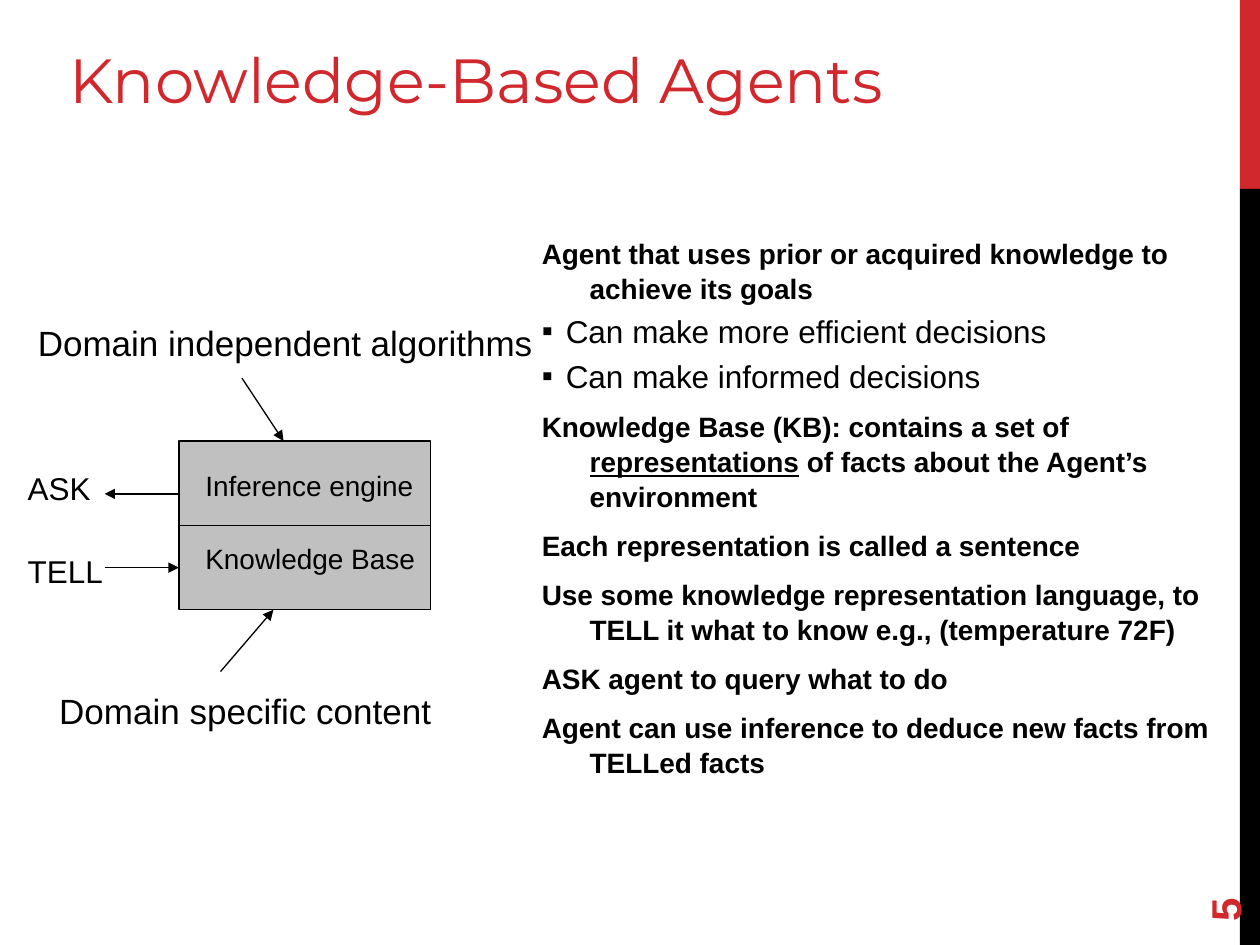
from lxml.etree import SubElement
from pptx import Presentation
from pptx.dml.color import RGBColor
from pptx.enum.shapes import MSO_CONNECTOR, MSO_SHAPE
from pptx.enum.text import MSO_ANCHOR
from pptx.oxml.ns import qn
from pptx.util import Inches, Pt

RED, BLACK, GRAY = "D1282E", "000000", "C0C0C0"

TITLE = "Knowledge-Based Agents"
PAGE_NUMBER = "5"

# (level, runs); a run is (text, underlined)
POINTS = [
    (0, [("Agent that uses prior or acquired knowledge to achieve its goals", False)]),
    (1, [("Can make more efficient decisions", False)]),
    (1, [("Can make informed decisions", False)]),
    (0, [("Knowledge Base (KB): contains a set of ", False),
         ("representations", True),
         (" of facts about the Agent’s environment", False)]),
    (0, [("Each representation is called a sentence", False)]),
    (0, [("Use some knowledge representation language, to TELL it what to know "
          "e.g., (temperature 72F)", False)]),
    (0, [("ASK agent to query what to do", False)]),
    (0, [("Agent can use inference to deduce new facts from TELLed facts", False)]),
]
LEVELS = [
    dict(size=16, bold=True, indent=0.38, before=8, bullet=None),
    dict(size=18, bold=False, indent=0.19, before=3, bullet="▪"),
]

# (text, left, top, width, height, size)
LABELS = [
    ("Knowledge Base", 1.58, 4.25, 1.78, 0.34, 16),
    ("Inference engine", 1.58, 3.67, 1.77, 0.34, 16),
    ("Domain independent algorithms", 0.25, 2.5, 4.04, 0.41, 20),
    ("Domain specific content", 0.42, 5.42, 3.06, 0.41, 20),
    ("TELL", 0.17, 4.33, 0.71, 0.38, 18),
    ("ASK", 0.17, 3.67, 0.61, 0.38, 18),
]

AGENT_LEFT, AGENT_TOP, AGENT_WIDTH, PART_HEIGHT = 1.42, 3.5, 2, 0.67
BASE_TOP = AGENT_TOP + PART_HEIGHT
BASE_BOTTOM = BASE_TOP + PART_HEIGHT
TELL_Y = BASE_TOP + PART_HEIGHT / 2
ASK_Y = 3.92
ARROW_LEFT = 0.83


def color(value):
    return RGBColor.from_string(value)


def add_run(paragraph, text, size=16, font="Arial", fill=BLACK, bold=False, underline=False):
    run = paragraph.add_run()
    run.text = text
    run.font.size = Pt(size)
    run.font.name = font
    run.font.color.rgb = color(fill)
    run.font.bold = bold
    run.font.underline = underline


def add_frame(slide, left, top, width, height, wrap=False, anchor=MSO_ANCHOR.TOP, rotation=0):
    box = slide.shapes.add_textbox(*map(Inches, (left, top, width, height)))
    box.rotation = rotation
    frame = box.text_frame
    frame.word_wrap = wrap
    frame.vertical_anchor = anchor
    frame.margin_left = frame.margin_right = Inches(0.05)
    frame.margin_top = frame.margin_bottom = Inches(0.05)
    return frame


def add_text(slide, text, left, top, width, height, anchor=MSO_ANCHOR.TOP, rotation=0, **style):
    frame = add_frame(slide, left, top, width, height, anchor=anchor, rotation=rotation)
    add_run(frame.paragraphs[0], text, **style)


def add_rectangle(slide, left, top, width, height, fill, outline=None):
    rectangle = slide.shapes.add_shape(
        MSO_SHAPE.RECTANGLE, *map(Inches, (left, top, width, height)))
    rectangle.shadow.inherit = False
    rectangle.fill.solid()
    rectangle.fill.fore_color.rgb = color(fill)
    if outline:
        rectangle.line.color.rgb = color(outline)
        rectangle.line.width = Pt(0.75)
    else:
        rectangle.line.fill.background()
    return rectangle


def add_arrow(slide, x1, y1, x2, y2):
    """Draw an arrow whose head is at (x2, y2)."""
    arrow = slide.shapes.add_connector(
        MSO_CONNECTOR.STRAIGHT, *map(Inches, (x1, y1, x2, y2)))
    arrow.line.color.rgb = color(BLACK)
    arrow.line.width = Pt(0.75)
    SubElement(arrow.line._get_or_add_ln(), qn("a:tailEnd"), type="triangle")
    SubElement(arrow._element.spPr, qn("a:effectLst"))
    return arrow


def format_point(paragraph, indent, before, bullet):
    """Set the hanging indent, spacing and bullet of one paragraph."""
    paragraph.line_spacing = 1.04
    paragraph.space_before = Pt(before)
    properties = paragraph._p.get_or_add_pPr()
    properties.set("marL", str(Inches(indent)))
    properties.set("indent", str(-Inches(indent)))
    if bullet:
        bullet_color = SubElement(properties, qn("a:buClr"))
        SubElement(bullet_color, qn("a:srgbClr"), val=BLACK)
        SubElement(properties, qn("a:buFont"), typeface="Arial")
        SubElement(properties, qn("a:buChar"), char=bullet)
    else:
        SubElement(properties, qn("a:buNone"))


def add_points(slide):
    frame = add_frame(slide, 4.25, 1.82, 5.75, 5.5, wrap=True)
    for number, (level, runs) in enumerate(POINTS):
        paragraph = frame.add_paragraph() if number else frame.paragraphs[0]
        look = LEVELS[level]
        paragraph.level = level
        format_point(paragraph, look["indent"], look["before"] if number else 0, look["bullet"])
        for text, underlined in runs:
            add_run(paragraph, text, size=look["size"], bold=look["bold"], underline=underlined)


def add_agent_diagram(slide):
    _, knowledge_base = [
        add_rectangle(slide, AGENT_LEFT, top, AGENT_WIDTH, PART_HEIGHT, GRAY, BLACK)
        for top in (AGENT_TOP, BASE_TOP)]
    for text, left, top, width, height, size in LABELS:
        add_text(slide, text, left, top, width, height, size=size)
    add_arrow(slide, 1.75, 5.33, 2.17, BASE_BOTTOM)
    add_arrow(slide, 1.92, 3, 2.25, AGENT_TOP)
    add_arrow(slide, AGENT_LEFT, ASK_Y, ARROW_LEFT, ASK_Y)
    tell = add_arrow(slide, ARROW_LEFT, TELL_Y, AGENT_LEFT, TELL_Y)
    tell.end_connect(knowledge_base, 1)


def main():
    presentation = Presentation()
    presentation.slide_width, presentation.slide_height = Inches(10), Inches(7.5)
    slide = presentation.slides.add_slide(presentation.slide_layouts[6])

    add_rectangle(slide, 9.84, 0, 0.16, 1.5, RED)
    add_rectangle(slide, 9.84, 1.5, 0.16, 6, BLACK)
    add_text(slide, TITLE, 0.5, 0.18, 8.48, 0.79, anchor=MSO_ANCHOR.BOTTOM,
             size=35.6, font="Montserrat", fill=RED)
    add_text(slide, PAGE_NUMBER, 9.57, 6.97, 0.3, 0.48, anchor=MSO_ANCHOR.MIDDLE,
             rotation=270, size=24, fill=RED, bold=True)
    add_points(slide)
    add_agent_diagram(slide)
    presentation.save("out.pptx")


if __name__ == "__main__":
    main()
